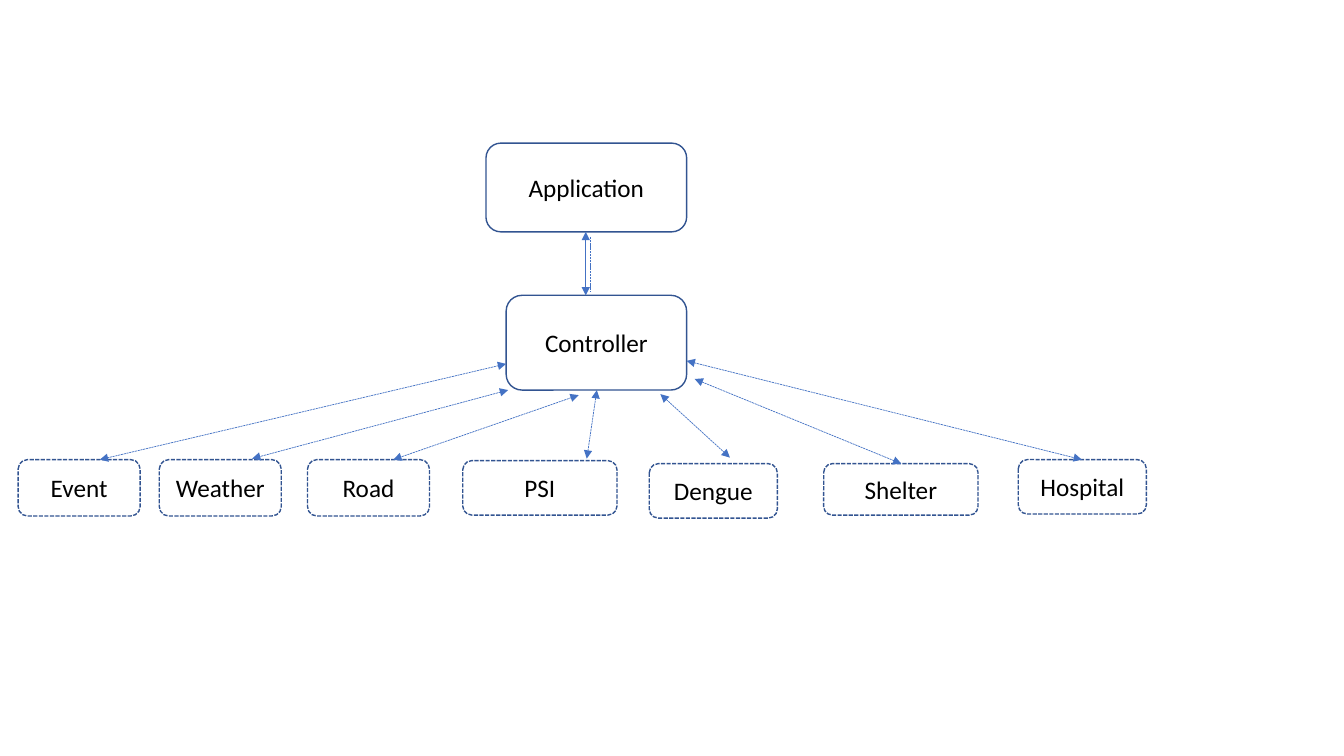
from pptx import Presentation
from pptx.dml.color import RGBColor
from pptx.enum.dml import MSO_LINE_DASH_STYLE as Dash
from pptx.enum.shapes import MSO_CONNECTOR as Connector, MSO_SHAPE as Shape
from pptx.enum.text import MSO_ANCHOR as Anchor, PP_ALIGN as Align
from pptx.oxml.xmlchemy import OxmlElement
from pptx.util import Inches, Pt

COLUMNS, ROWS = 13.33, 7.5
SLIDE_WIDTH, SLIDE_HEIGHT = Inches(COLUMNS), Inches(ROWS)

BORDER_BLUE = RGBColor(0x32, 0x54, 0x91)
ARROW_BLUE = RGBColor(0x44, 0x72, 0xC4)
BLACK = RGBColor(0, 0, 0)

LABEL_FONT = {"name": "Calibri", "size": Pt(18)}
BORDER = {"width": Pt(1)}
SERVICE_BORDER = {**BORDER, "dash_style": Dash.SQUARE_DOT}
LINK = {"width": Pt(0.5)}
DASHED_LINK = {**LINK, "dash_style": Dash.SQUARE_DOT}

# label: left column, top row, columns wide, rows high
CORE = {
    "Controller": (5.02, 2.93, 1.79, 0.94),
    "Application": (4.82, 1.42, 1.99, 0.88),
}
# label: box as above, link start at the controller, link end at the service
SERVICES = {
    "Event": ((0.18, 4.56, 1.21, 0.56), (5.02, 3.61), (0.99, 4.56)),
    "Weather": ((1.58, 4.56, 1.21, 0.56), (5.04, 3.87), (2.5, 4.55)),
    "Road": ((3.05, 4.56, 1.21, 0.56), (5.74, 3.92), (3.9, 4.56)),
    "PSI": ((4.59, 4.57, 1.53, 0.54), (5.92, 3.87), (5.82, 4.55)),
    "Dengue": ((6.44, 4.6, 1.27, 0.54), (6.55, 3.91), (7.24, 4.54)),
    "Shelter": ((8.17, 4.6, 1.53, 0.51), (6.89, 3.76), (8.94, 4.6)),
    "Hospital": ((10.1, 4.56, 1.27, 0.54), (6.81, 3.58), (10.73, 4.56)),
}


def place(column, row):
    """Turn a grid column and row into slide lengths."""
    return round(SLIDE_WIDTH * column / COLUMNS), round(SLIDE_HEIGHT * row / ROWS)


def apply_format(target, values):
    """Set each attribute named in values on the target."""
    for attribute, value in values.items():
        setattr(target, attribute, value)


def add_component(slide, label, box, border):
    """Draw a rounded, unfilled box with a centred label."""
    left, top, width, height = box
    component = slide.shapes.add_shape(
        Shape.ROUNDED_RECTANGLE, *place(left, top), *place(width, height))
    component.shadow.inherit = False
    component.fill.background()
    component.line.color.rgb = BORDER_BLUE
    apply_format(component.line, border)
    frame = component.text_frame
    apply_format(frame, {"word_wrap": True, "vertical_anchor": Anchor.MIDDLE})
    paragraph = frame.paragraphs[0]
    paragraph.alignment = Align.CENTER
    caption = paragraph.add_run()
    caption.text = label
    apply_format(caption.font, LABEL_FONT)
    caption.font.color.rgb = BLACK


def add_link(slide, start, end, style, arrows=True):
    """Draw a straight link, with arrowheads at both ends if wanted."""
    link = slide.shapes.add_connector(
        Connector.STRAIGHT, *place(*start), *place(*end))
    link.line.color.rgb = ARROW_BLUE
    apply_format(link.line, style)
    if arrows:
        outline = link.line._get_or_add_ln()
        for tag in ("a:headEnd", "a:tailEnd"):
            arrowhead = OxmlElement(tag)
            arrowhead.set("type", "triangle")
            outline.append(arrowhead)
    link._element.spPr.append(OxmlElement("a:effectLst"))


def main():
    """Build the architecture slide and save it."""
    deck = Presentation()
    apply_format(deck, {"slide_width": SLIDE_WIDTH, "slide_height": SLIDE_HEIGHT})
    slide = deck.slides.add_slide(deck.slide_layouts[6])
    for label, box in CORE.items():
        add_component(slide, label, box, BORDER)
    for label, (box, start, end) in SERVICES.items():
        add_component(slide, label, box, SERVICE_BORDER)
        add_link(slide, start, end, DASHED_LINK)
    add_link(slide, (5.81, 2.3), (5.81, 2.93), LINK)
    add_link(slide, (5.86, 2.35), (5.86, 2.89), DASHED_LINK, arrows=False)
    deck.save("out.pptx")


main()
